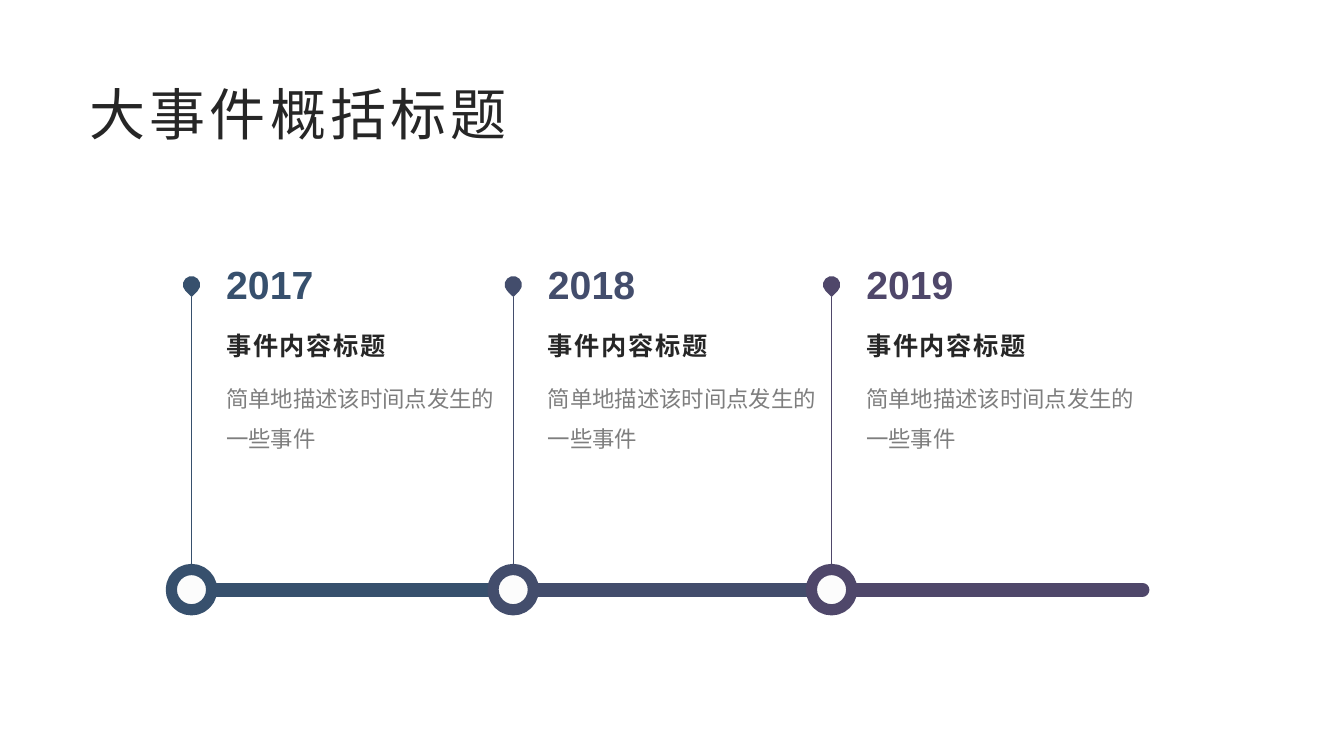
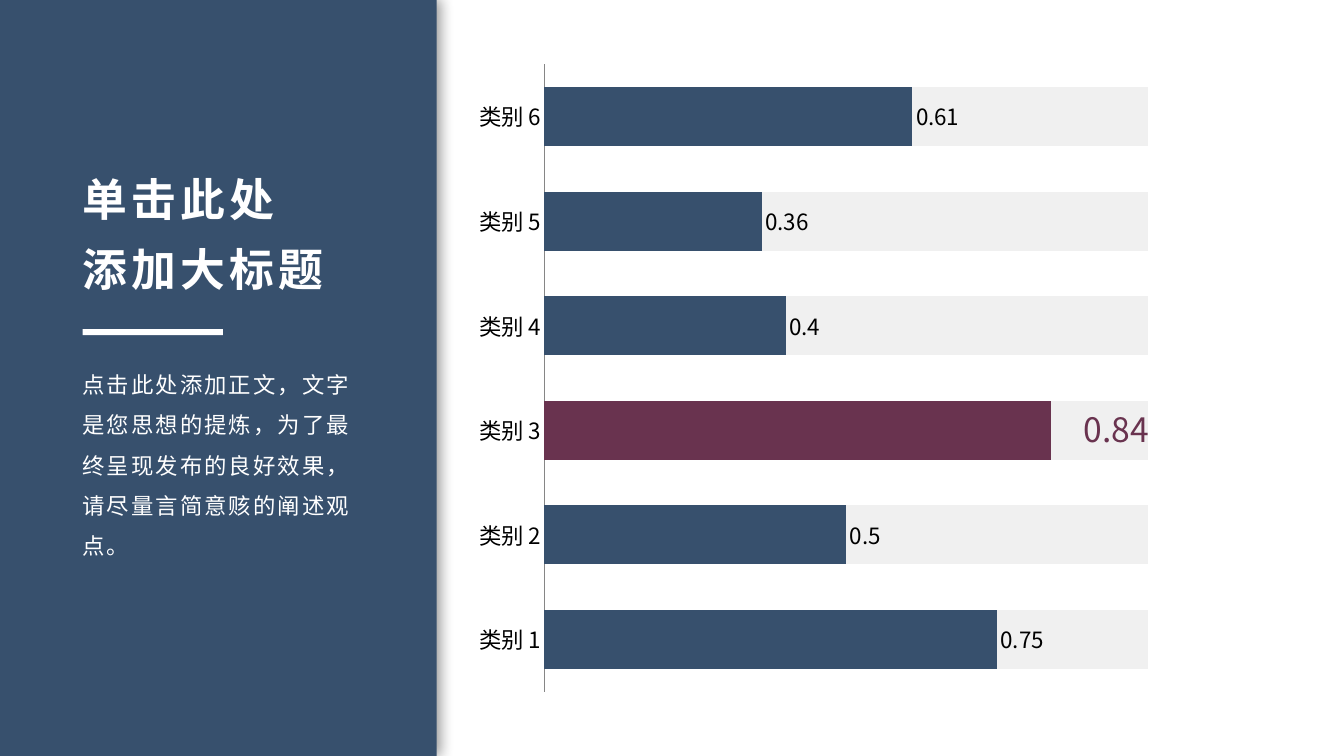
import pptx
import pptx.chart.data
import pptx.dml.color
import pptx.enum.chart
import pptx.enum.shapes
import pptx.enum.text
import pptx.oxml.ns
import pptx.util
from lxml import etree

NOTO = "Noto Sans CJK SC"
NAVY, SLATE, PLUM, WINE = "37506D", "434D6C", "4F476A", "69334F"
INK, GREY, PALE, WHITE, BLACK = "262626", "7E7E7E", "F0F0F0", "FFFFFF", "000000"
KIND = pptx.enum.shapes.MSO_SHAPE
ANCHOR = pptx.enum.text.MSO_ANCHOR
STRAIGHT = pptx.enum.shapes.MSO_CONNECTOR.STRAIGHT
Pt = pptx.util.Pt
qn = pptx.oxml.ns.qn

deck = pptx.Presentation()
deck.slide_width = pptx.util.Inches(13.33)
deck.slide_height = pptx.util.Inches(7.5)
COL = deck.slide_width / 160
ROW = deck.slide_height / 90


def paint(fill, tone):
    fill.solid()
    fill.fore_color.rgb = pptx.dml.color.RGBColor.from_string(tone)


def write(page, text, left, top, wide, high, size=16, tone=WHITE, face=NOTO, bold=False,
          gap=0, lead=None, anchor=ANCHOR.TOP, pad=0.6, wrap=True, grow=False):
    box = page.shapes.add_textbox(int(left * COL), int(top * ROW), int(wide * COL), int(high * ROW))
    frame = box.text_frame
    frame.word_wrap = wrap
    frame.vertical_anchor = anchor
    frame.margin_top = int(pad * ROW)
    if grow:
        frame.auto_size = pptx.enum.text.MSO_AUTO_SIZE.SHAPE_TO_FIT_TEXT
    frame.text = text
    for para in frame.paragraphs:
        para.line_spacing = lead
        font = para.runs[0].font
        font.size, font.bold, font.name = Pt(size), bold, face
        paint(font.fill, tone)
        font._rPr.set("spc", str(int(gap * 100)))
        etree.SubElement(font._rPr, qn("a:ea")).set("typeface", face)


blank = deck.slide_layouts[6]
page = deck.slides.add_slide(blank)
write(page, "大事件概括标题", 9.5, 8.76, 68.8, 9.24, size=40, tone=INK, gap=3, anchor=ANCHOR.BOTTOM)

AXIS = 70.2
PIN = 33.9
stops = [22.8, 61.1, 99, 136]
events = [("2017", NAVY), ("2018", SLATE), ("2019", PLUM)]
for (year, tone), mid, end in zip(events, stops, stops[1:]):
    rules = [(mid, AXIS, end, AXIS, 10), (mid, PIN + 1.5, mid, AXIS - 2.6, 0.5)]
    for left, top, right, low, thick in rules:
        rule = page.shapes.add_connector(STRAIGHT, int(left * COL), int(top * ROW),
                                         int(right * COL), int(low * ROW))
        paint(rule.line.fill, tone)
        rule.line.width = Pt(thick)
        rule.line._get_or_add_ln().set("cap", "rnd")
        etree.SubElement(rule._element.spPr, qn("a:effectLst"))
    for kind, row, size, fill in [(KIND.OVAL, AXIS, 4.8, "FCFCFC"), (KIND.TEAR, PIN, 2.06, tone)]:
        mark = page.shapes.add_shape(kind, int((mid - size / 2) * COL), int((row - size / 2) * ROW),
                                     int(size * COL), int(size * ROW))
        mark.shadow.inherit = False
        paint(mark.fill, fill)
        if kind == KIND.OVAL:
            paint(mark.line.fill, tone)
            mark.line.width = Pt(8)
        else:
            mark.line.fill.background()
            mark.rotation = 135
    left = mid + 2.95
    write(page, year, left, 30.4, 13, 6.8, size=28, tone=tone, face="Arial", bold=True)
    write(page, "事件内容标题", left, 38.5, 23.4, 5, size=18, tone=INK, bold=True, gap=1.2,
          anchor=ANCHOR.BOTTOM)
    write(page, "简单地描述该时间点发生的一些事件", left, 44.2, 34.8, 10.3, tone=GREY, lead=1.5, pad=0)

page = deck.slides.add_slide(blank)
data = pptx.chart.data.CategoryChartData()
data.categories = [f"类别 {num}" for num in range(1, 7)]
data.add_series("Series 1", [1] * 6)
data.add_series("Series 2", [0.75, 0.5, 0.84, 0.4, 0.36, 0.61])
chart = page.shapes.add_chart(pptx.enum.chart.XL_CHART_TYPE.BAR_CLUSTERED, int(54.25 * COL),
                              int(6.1 * ROW), int(98.7 * COL), int(77.8 * ROW), data).chart
chart.has_legend = chart.has_title = False
chart.font.size, chart.font.name = Pt(10), "Arial"
axis = chart.value_axis
axis.minimum_scale, axis.maximum_scale = 0, 1.2
axis.has_major_gridlines = axis.visible = False
axis = chart.category_axis
axis.major_tick_mark = pptx.enum.chart.XL_TICK_MARK.NONE
paint(axis.format.line.fill, "868686")
axis.format.line.width = Pt(0.75)

plot = chart.plots[0]
plot.gap_width, plot.overlap, plot.vary_by_categories = 77, 100, False
for bars, tone in zip(plot.series, [PALE, NAVY]):
    paint(bars.format.fill, tone)
bars = plot.series[1]
paint(bars.points[2].format.fill, WINE)
tags = bars.data_labels
tags.show_value = True
tags.position = pptx.enum.chart.XL_LABEL_POSITION.OUTSIDE_END
for font in (axis.tick_labels.font, tags.font):
    font.size, font.name = Pt(16), NOTO
    paint(font.fill, BLACK)
    etree.SubElement(font._rPr, qn("a:ea")).set("typeface", NOTO)
skip = etree.Element(qn("c:dLbl"))
for name, val in [("idx", "2"), ("delete", "1")]:
    etree.SubElement(skip, qn("c:" + name)).set("val", val)
tags._element.insert(0, skip)

area = chart._chartSpace.chart.plotArea
for old in area.findall(qn("c:layout")):
    area.remove(old)
grid = etree.Element(qn("c:layout"))
area.insert(0, grid)
grid = etree.SubElement(grid, qn("c:manualLayout"))
for name, val in [("layoutTarget", "inner"), ("xMode", "edge"), ("yMode", "edge"),
                  ("x", "0.107"), ("y", "0.02"), ("w", "0.873"), ("h", "0.96")]:
    etree.SubElement(grid, qn("c:" + name)).set("val", val)

for left, top, wide, high, tone in [(0, 0, 52, 90, NAVY), (9.85, 39.2, 16.7, 0.7, WHITE)]:
    block = page.shapes.add_shape(KIND.RECTANGLE, int(left * COL), int(top * ROW),
                                  int(wide * COL), int(high * ROW))
    block.shadow.inherit = False
    paint(block.fill, tone)
    block.line.fill.background()
    if tone == NAVY:
        glow = etree.SubElement(block._element.spPr.find(qn("a:effectLst")), qn("a:outerShdw"),
                                blurRad=str(Pt(10)), dist=str(Pt(3)), dir="0")
        shade = etree.SubElement(glow, qn("a:srgbClr"), val=BLACK)
        etree.SubElement(shade, qn("a:alpha"), val="40000")

write(page, "单击此处\n添加大标题", 8.65, 18.2, 35.6, 17.2, size=32, bold=True, gap=3, lead=1.3,
      anchor=ANCHOR.MIDDLE, grow=True)
write(page, "点击此处添加正文，文字是您思想的提炼，为了最终呈现发布的良好效果，请尽量言简意赅的阐述观点。",
      8.65, 42.6, 35.6, 26.3, gap=1.5, lead=1.5, pad=0)
write(page, "0.84", 127.8, 48.1, 10.4, 6, size=24, tone=WINE, wrap=False, grow=True)

deck.save("out.pptx")
